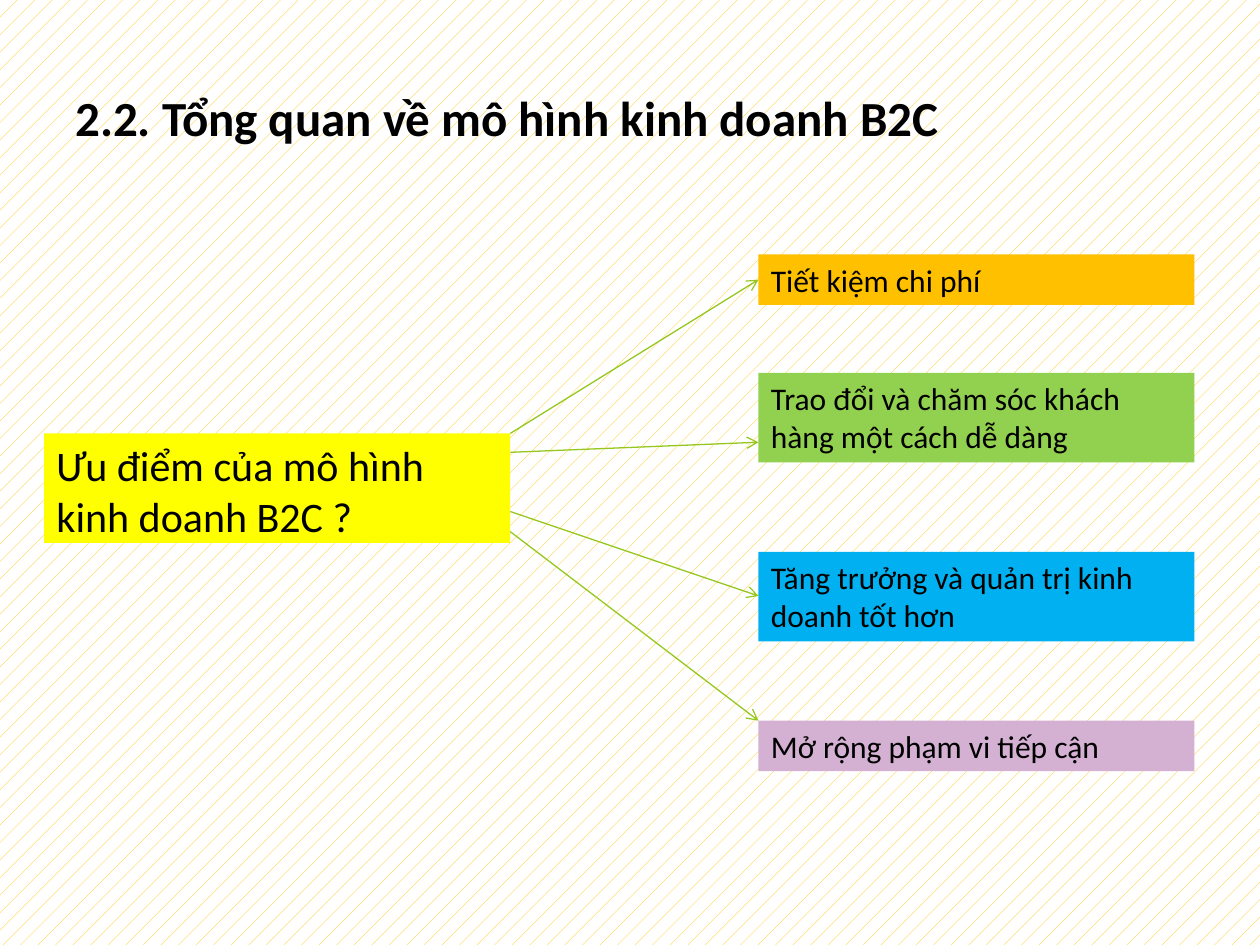
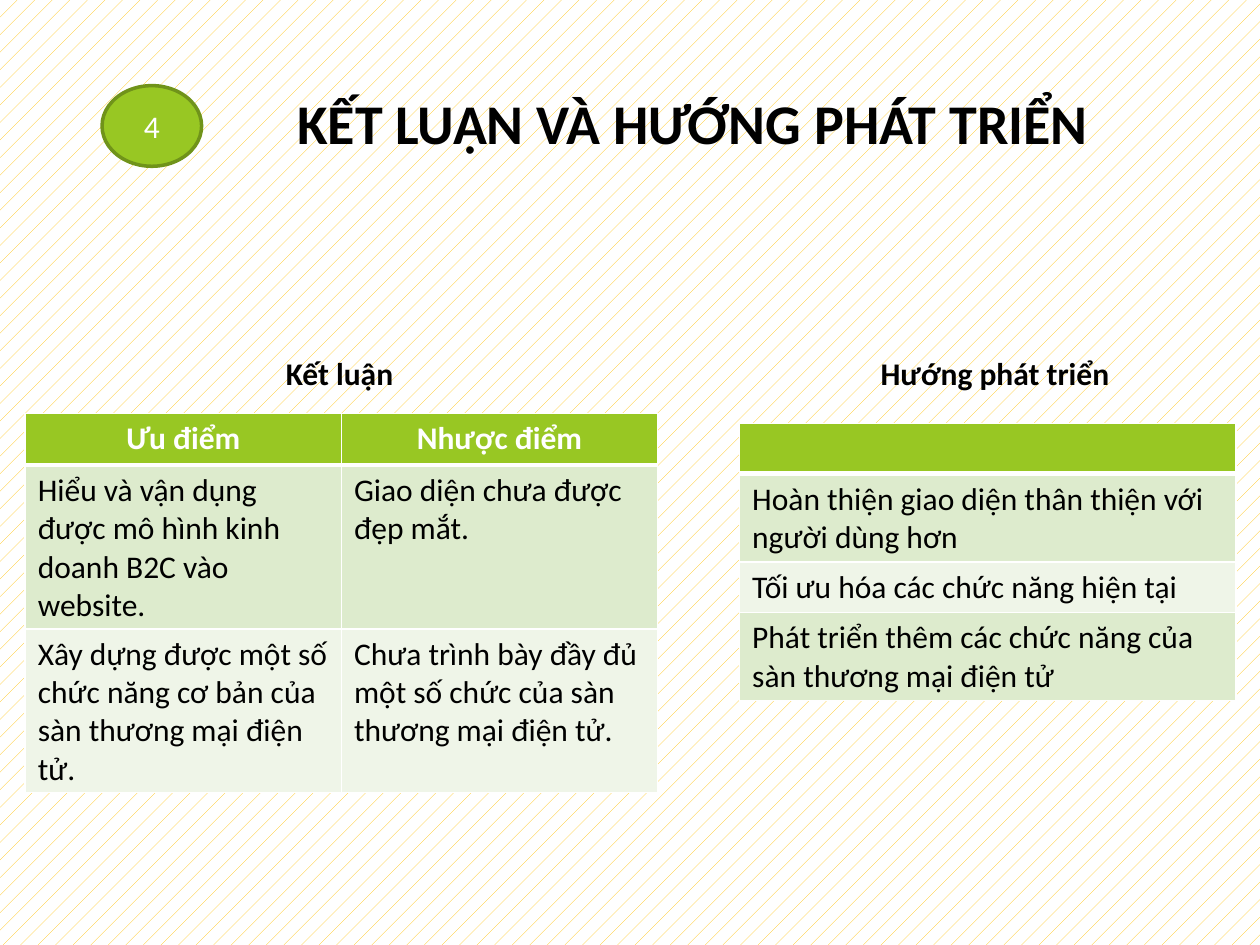
"""Builds two slides on the B2C business model: its advantages, and the conclusions."""
from lxml.etree import SubElement
from pptx import Presentation
from pptx.dml.color import RGBColor
from pptx.enum.dml import MSO_PATTERN
from pptx.enum.shapes import MSO_CONNECTOR, MSO_SHAPE
from pptx.enum.text import MSO_ANCHOR, PP_ALIGN
from pptx.oxml import parse_xml
from pptx.oxml.ns import nsdecls, qn
from pptx.util import Inches, Pt

FONT = "Calibri"
BLACK = RGBColor(0x00, 0x00, 0x00)
WHITE = RGBColor(0xFF, 0xFF, 0xFF)
YELLOW = RGBColor(0xFF, 0xFF, 0x00)
AMBER = RGBColor(0xFF, 0xC0, 0x00)
LIME = RGBColor(0x92, 0xD0, 0x50)
SKY = RGBColor(0x00, 0xB0, 0xF0)
MAUVE = RGBColor(0xD4, 0xB0, 0xD2)
GREEN = RGBColor(0x98, 0xC7, 0x23)
ARROW = RGBColor(0x96, 0xC7, 0x1E)
DARK_GREEN = RGBColor(0x70, 0x93, 0x1A)
BANDS = [RGBColor(0xDD, 0xEB, 0xCD), RGBColor(0xEF, 0xF5, 0xE8)]

OVERVIEW_TITLE = "2.2. Tổng quan về mô hình kinh doanh B2C"
QUESTION = "Ưu điểm của mô hình kinh doanh B2C ?"
QUESTION_BOX = (0.35, 3.44, 3.7, 0.87)
ADVANTAGE_LEFT, ADVANTAGE_WIDTH = 6.02, 3.46
# text, colour, top, height, arrow start, arrow end
ADVANTAGES = [
    ("Tiết kiệm chi phí", AMBER, 2.02, 0.4, 3.44, 2.22),
    ("Trao đổi và chăm sóc khách hàng một cách dễ dàng", LIME, 2.96, 0.71, 3.59, 3.51),
    ("Tăng trưởng và quản trị kinh doanh tốt hơn", SKY, 4.38, 0.71, 4.06, 4.73),
    ("Mở rộng phạm vi tiếp cận", MAUVE, 5.72, 0.4, 4.22, 5.72),
]

CONCLUSION_TITLE = "KẾT LUẬN VÀ HƯỚNG PHÁT TRIỂN"
CHAPTER = "4"
HEADINGS = [
    ("Kết luận", (2.17, 2.76, 2.52, 0.4)),
    ("Hướng phát triển", (6.89, 2.76, 3.39, 0.4)),
]
RESULTS = [
    ("Ưu điểm", "Nhược điểm"),
    ("Hiểu và vận dụng được mô hình kinh doanh B2C vào website.",
     "Giao diện chưa được đẹp mắt."),
    ("Xây dựng được một số chức năng cơ bản của sàn thương mại điện tử.",
     "Chưa trình bày đầy đủ một số chức của sàn thương mại điện tử."),
]
PLANS = [
    ("",),
    ("Hoàn thiện giao diện thân thiện với người dùng hơn",),
    ("Tối ưu hóa các chức năng hiện tại",),
    ("Phát triển thêm các chức năng của sàn thương mại điện tử",),
]


def write(tf, text, size=18, color=BLACK, bold=False, align=PP_ALIGN.LEFT):
    tf.word_wrap = True
    tf.text = text
    p = tf.paragraphs[0]
    p.alignment = align
    for r in p.runs:
        r.font.name = FONT
        r.font.size = Pt(size)
        r.font.bold = bold
        r.font.color.rgb = color
    return p


def add_text(slide, box, text, **style):
    tf = slide.shapes.add_textbox(*map(Inches, box)).text_frame
    write(tf, text, **style)
    return tf


def add_filled(slide, kind, box, fill, text, anchor=MSO_ANCHOR.TOP, **style):
    sp = slide.shapes.add_shape(kind, *map(Inches, box))
    sp.shadow.inherit = False
    sp.fill.solid()
    sp.fill.fore_color.rgb = fill
    sp.line.fill.background()
    sp.text_frame.vertical_anchor = anchor
    write(sp.text_frame, text, **style)
    return sp


def add_arrow(slide, x1, y1, x2, y2):
    cxn = slide.shapes.add_connector(MSO_CONNECTOR.STRAIGHT, *map(Inches, (x1, y1, x2, y2)))
    cxn.line.color.rgb = ARROW
    cxn.line.width = Pt(0.75)
    SubElement(cxn.line._get_or_add_ln(), qn("a:tailEnd"), type="arrow")
    SubElement(cxn._element.spPr, qn("a:effectLst"))


def set_borders(cell, **widths):
    tc_pr = cell._tc.get_or_add_tcPr()
    for i, side in enumerate("LRTB"):
        width = Pt(widths.get(side, 1))
        tc_pr.insert(i, parse_xml(
            f'<a:ln{side} {nsdecls("a")} w="{width}"><a:solidFill>'
            f'<a:srgbClr val="{WHITE}"/></a:solidFill></a:ln{side}>'))


def add_grid(slide, left, top, width, row_heights, rows):
    n_cols = len(rows[0])
    table = slide.shapes.add_table(len(rows), n_cols, Inches(left), Inches(top),
                                   Inches(width), Inches(sum(row_heights))).table
    for i, (values, height) in enumerate(zip(rows, row_heights)):
        table.rows[i].height = Inches(height)
        header = i == 0
        for j, value in enumerate(values):
            cell = table.cell(i, j)
            cell.fill.solid()
            cell.fill.fore_color.rgb = GREEN if header else BANDS[(i - 1) % 2]
            set_borders(cell, B=3 if header else 1, T=3 if i == 1 else 1)
            write(cell.text_frame, value, bold=header, color=WHITE if header else BLACK,
                  align=PP_ALIGN.CENTER if header else PP_ALIGN.LEFT)


def add_slide(prs, title, left, top, size, align):
    slide = prs.slides.add_slide(prs.slide_layouts[6])
    fill = slide.background.fill
    fill.patterned()
    fill.pattern = MSO_PATTERN.PERCENT_5
    fill.fore_color.rgb = AMBER
    fill.back_color.rgb = WHITE
    tf = add_text(slide, (left, top, 9, 1.25), title, size=size, bold=True, align=align)
    tf.vertical_anchor = MSO_ANCHOR.MIDDLE
    return slide


def build_overview(prs):
    slide = add_slide(prs, OVERVIEW_TITLE, 0.5, 0.3, 28, PP_ALIGN.JUSTIFY)
    question = add_filled(slide, MSO_SHAPE.RECTANGLE, QUESTION_BOX, YELLOW, QUESTION, size=24)
    question.text_frame.paragraphs[0].space_before = Pt(4.8)
    question_right = QUESTION_BOX[0] + QUESTION_BOX[2]
    for text, color, top, height, start, end in ADVANTAGES:
        box = (ADVANTAGE_LEFT, top, ADVANTAGE_WIDTH, height)
        add_filled(slide, MSO_SHAPE.RECTANGLE, box, color, text)
        add_arrow(slide, question_right, start, ADVANTAGE_LEFT, end)


def build_conclusion(prs):
    slide = add_slide(prs, CONCLUSION_TITLE, 1, 0.34, 32, PP_ALIGN.CENTER)
    badge = add_filled(slide, MSO_SHAPE.OVAL, (0.81, 0.68, 0.79, 0.64), GREEN, CHAPTER,
                       MSO_ANCHOR.MIDDLE, color=WHITE, align=PP_ALIGN.CENTER)
    badge.line.color.rgb = DARK_GREEN
    badge.line.width = Pt(2)
    for text, box in HEADINGS:
        add_text(slide, box, text, bold=True, align=PP_ALIGN.JUSTIFY)
    add_grid(slide, 0.2, 3.28, 5.02, [0.41] * 3, RESULTS)
    add_grid(slide, 5.87, 3.36, 3.94, [0.16] + [0.37] * 3, PLANS)


def main():
    prs = Presentation()
    prs.slide_width, prs.slide_height = Inches(10), Inches(7.5)
    build_overview(prs)
    build_conclusion(prs)
    prs.save("out.pptx")


if __name__ == "__main__":
    main()
